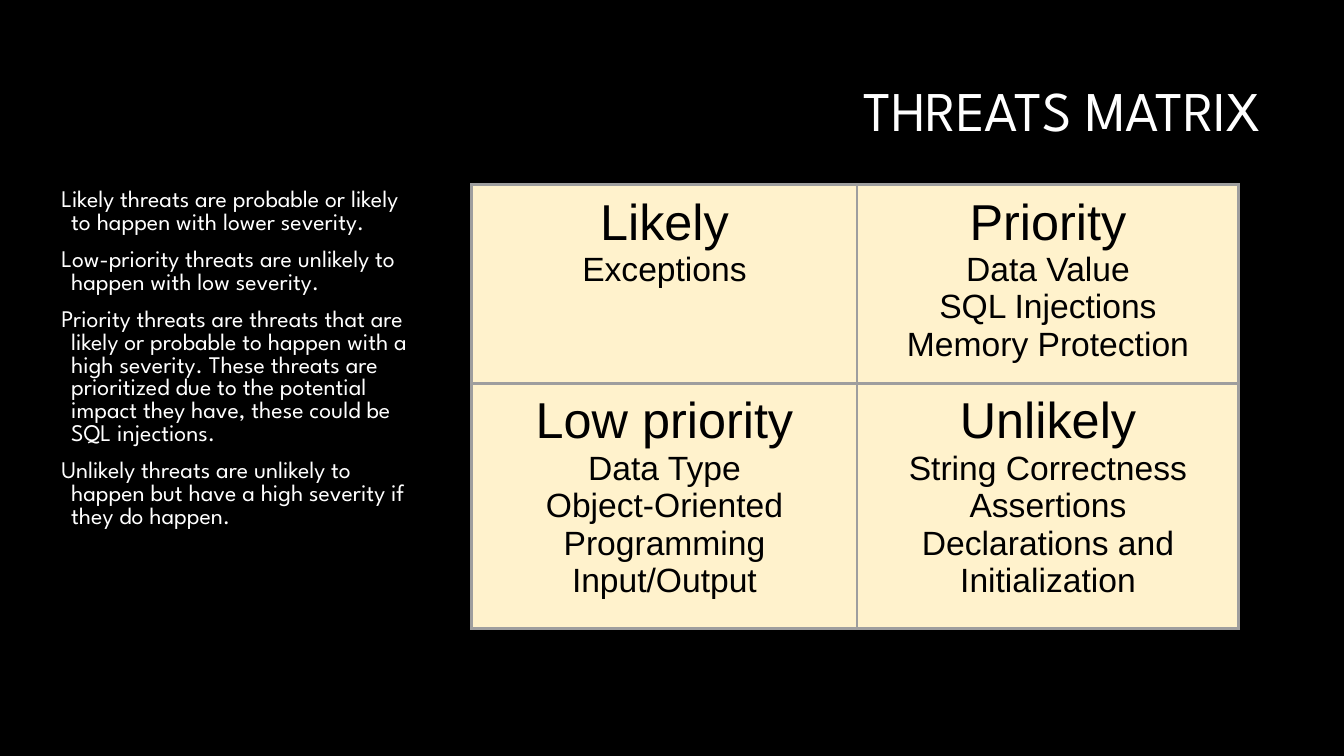
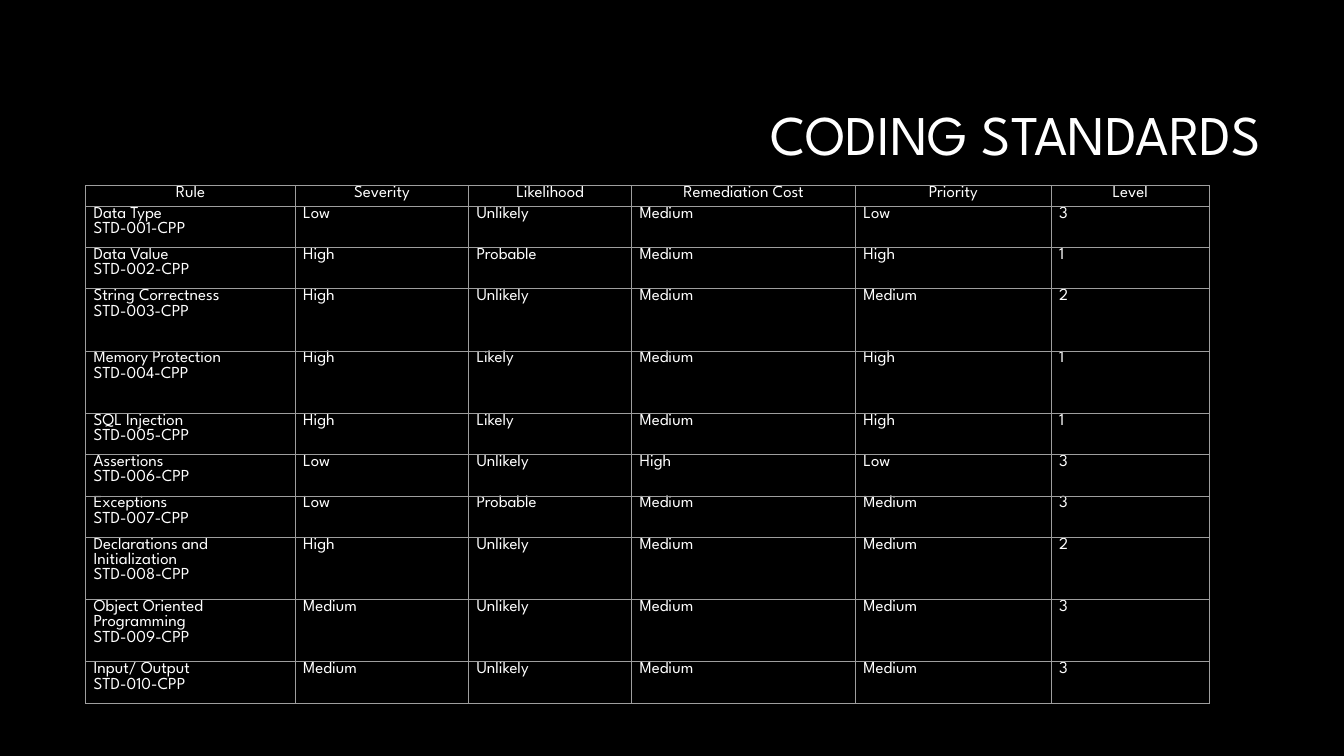
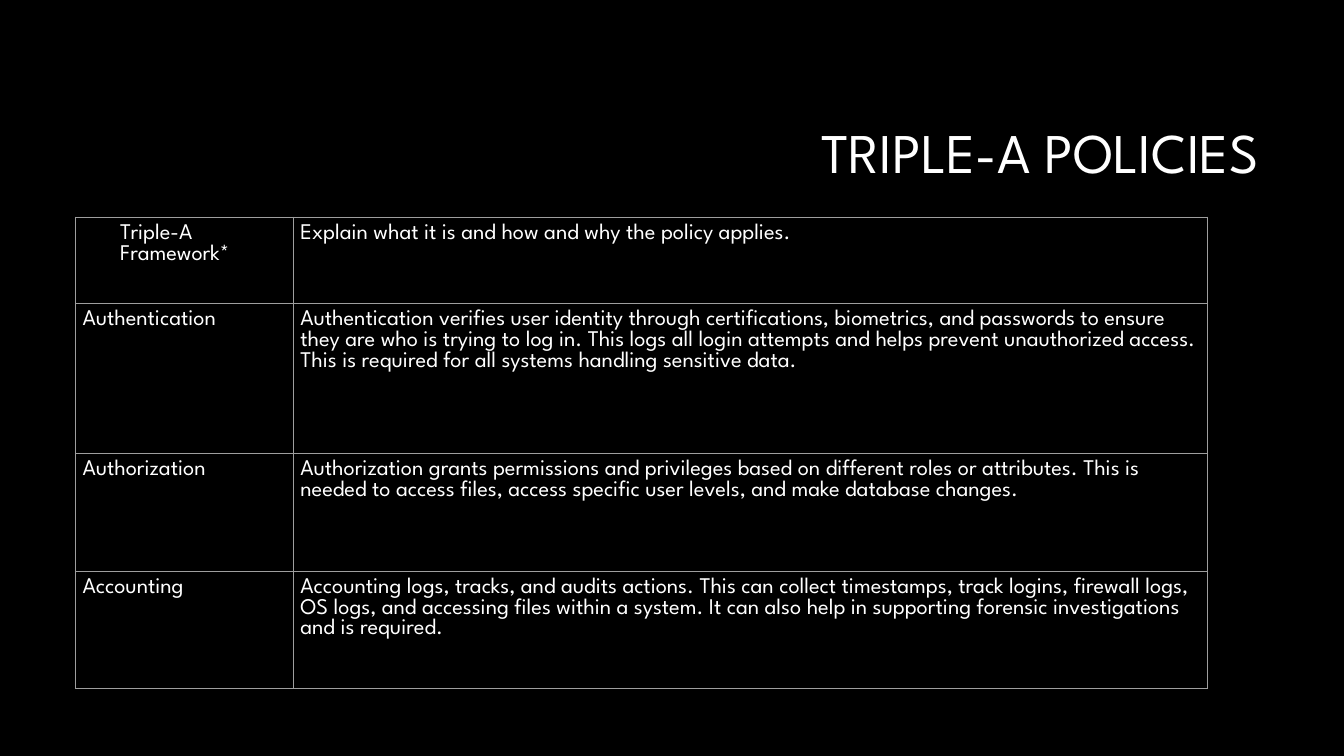
from lxml import etree
from pptx import Presentation
from pptx.dml.color import RGBColor
from pptx.enum.text import MSO_ANCHOR, MSO_AUTO_SIZE, PP_ALIGN
from pptx.oxml.ns import qn
from pptx.util import Cm, Pt

BLACK = RGBColor(0x00, 0x00, 0x00)
WHITE = RGBColor(0xFF, 0xFF, 0xFF)
GREY = RGBColor(0x9E, 0x9E, 0x9E)
CREAM = RGBColor(0xFF, 0xF2, 0xCC)
SPARTAN = "League Spartan"
TITLE_AND_CONTENT, TITLE_ONLY = 1, 5

prs = Presentation()
prs.slide_width, prs.slide_height = Cm(33.87), Cm(19.05)
background = prs.slide_master.background.fill
background.solid()
background.fore_color.rgb = BLACK


def style(paragraph, font, size, color, **layout):
    """Format the runs of a paragraph; layout holds paragraph attributes."""
    for run in paragraph.runs:
        run.font.name, run.font.size = font, Pt(size)
        run.font.color.rgb = color
    for attribute, value in layout.items():
        setattr(paragraph, attribute, value)


def add_grid(slide, left, top, widths, heights, rows, font, size, color,
             inset, border, fill=None):
    """Add a ruled table, lengths in cm; a line break in a text starts a paragraph."""
    table = slide.shapes.add_table(len(heights), len(widths), Cm(left), Cm(top),
                                   Cm(sum(widths)), Cm(sum(heights))).table
    table.first_row = table.horz_banding = False
    for column, width in zip(table.columns, widths):
        column.width = Cm(width)
    for row, height, texts in zip(table.rows, heights, rows):
        row.height = Cm(height)
        for cell, text in zip(row.cells, texts):
            cell.text = text
            cell.margin_left = cell.margin_right = Cm(inset[0])
            cell.margin_top = cell.margin_bottom = Cm(inset[1])
            for paragraph in cell.text_frame.paragraphs:
                style(paragraph, font, size, color)
            properties = cell._tc.get_or_add_tcPr()
            for side in ("a:lnL", "a:lnR", "a:lnT", "a:lnB"):
                line = etree.SubElement(properties, qn(side), w=str(Pt(border)))
                solid = etree.SubElement(line, qn("a:solidFill"))
                etree.SubElement(solid, qn("a:srgbClr"), val=str(GREY))
            if fill is None:
                cell.fill.background()
            else:
                cell.fill.solid()
                cell.fill.fore_color.rgb = fill
    return table


# Slides and their titles
slides = []
for heading, layout, left, top in (
    ("THREATS MATRIX", TITLE_AND_CONTENT, 8.1, 1.07),
    ("CODING STANDARDS", TITLE_ONLY, 8.1, 1.67),
    ("TRIPLE-A POLICIES", TITLE_ONLY, 8.04, 2.13),
):
    slide = prs.slides.add_slide(prs.slide_layouts[layout])
    title = slide.shapes.title
    title.left, title.top, title.width, title.height = Cm(left), Cm(top), Cm(23.93), Cm(3.58)
    title.text_frame.text = heading
    title.text_frame.auto_size = MSO_AUTO_SIZE.NONE
    title.text_frame.vertical_anchor = MSO_ANCHOR.MIDDLE
    style(title.text_frame.paragraphs[0], SPARTAN, 40, WHITE,
          alignment=PP_ALIGN.RIGHT, line_spacing=0.9)
    slides.append(slide)
threats, standards, policies = slides

# Threats matrix
explanation = threats.placeholders[1]
explanation.left, explanation.top = Cm(0.9), Cm(4.65)
explanation.width, explanation.height = Cm(9.7), Cm(11.18)
explanation.text_frame.text = "\n".join((
    "Likely threats are probable or likely to happen with lower severity.",
    "Low-priority threats are unlikely to happen with low severity.",
    "Priority threats are threats that are likely or probable to happen with a high "
    "severity. These threats are prioritized due to the potential impact they have, "
    "these could be SQL injections.",
    "Unlikely threats are unlikely to happen but have a high severity if they do happen.",
))
explanation.text_frame.auto_size = MSO_AUTO_SIZE.NONE
for paragraph in explanation.text_frame.paragraphs:
    style(paragraph, SPARTAN, 17, WHITE, line_spacing=0.8, space_before=Pt(10))
    properties = paragraph._p.get_or_add_pPr()
    properties.set("marL", str(Cm(0.64)))
    properties.set("indent", str(Cm(-0.25)))
    etree.SubElement(properties, qn("a:buNone"))

matrix = add_grid(
    threats, 11.89, 4.65, (9.71, 9.62), (5.01, 6.17),
    (("Likely\nExceptions",
      "Priority\nData Value\nSQL Injections\nMemory Protection"),
     ("Low priority\nData Type\nObject-Oriented Programming\nInput/Output",
      "Unlikely\nString Correctness\nAssertions\nDeclarations and Initialization")),
    "Arial", 24, BLACK, inset=(0.25, 0.25), border=2.25, fill=CREAM)
for cell in matrix.iter_cells():
    for paragraph in cell.text_frame.paragraphs:
        paragraph.alignment = PP_ALIGN.CENTER
    style(cell.text_frame.paragraphs[0], "Arial", 36, BLACK)

# Coding standards
SHORT, TALL = 1.04, 1.57
rules = (
    ("Data Type", "Low", "Unlikely", "Medium", "Low", "3", SHORT),
    ("Data Value", "High", "Probable", "Medium", "High", "1", SHORT),
    ("String Correctness", "High", "Unlikely", "Medium", "Medium", "2", TALL),
    ("Memory Protection", "High", "Likely", "Medium", "High", "1", TALL),
    ("SQL Injection", "High", "Likely", "Medium", "High", "1", SHORT),
    ("Assertions", "Low", "Unlikely", "High", "Low", "3", SHORT),
    ("Exceptions", "Low", "Probable", "Medium", "Medium", "3", SHORT),
    ("Declarations and Initialization", "High", "Unlikely", "Medium", "Medium", "2", TALL),
    ("Object Oriented Programming", "Medium", "Unlikely", "Medium", "Medium", "3", TALL),
    ("Input/ Output", "Medium", "Unlikely", "Medium", "Medium", "3", SHORT),
)
rating_rows = [("Rule", "Severity", "Likelihood", "Remediation Cost", "Priority", "Level")]
rating_heights = [0.52]
for number, (rule, *ratings, height) in enumerate(rules, start=1):
    rating_rows.append((f"{rule}\nSTD-{number:03}-CPP", *ratings))
    rating_heights.append(height)
ratings_table = add_grid(
    standards, 2.16, 4.68, (5.28, 4.37, 4.11, 5.64, 4.93, 3.99), rating_heights,
    rating_rows, SPARTAN, 12, WHITE, inset=(0.2, 0), border=0.75)
for cell in ratings_table.rows[0].cells:
    cell.text_frame.paragraphs[0].alignment = PP_ALIGN.CENTER

# Triple-A policies
framework = add_grid(
    policies, 1.9, 5.47, (5.49, 23.03), (2.17, 3.78, 2.97, 2.97),
    (("Triple-A Framework*", "Explain what it is and how and why the policy applies."),
     ("Authentication",
      "Authentication verifies user identity through certifications, biometrics, and "
      "passwords to ensure they are who is trying to log in. This logs all login attempts "
      "and helps prevent unauthorized access. This is required for all systems handling "
      "sensitive data."),
     ("Authorization",
      "Authorization grants permissions and privileges based on different roles or "
      "attributes. This is needed to access files, access specific user levels, and make "
      "database changes."),
     ("Accounting",
      "Accounting logs, tracks, and audits actions. This can collect timestamps, track "
      "logins, firewall logs, OS logs, and accessing files within a system. It can also "
      "help in supporting forensic investigations and is required.")),
    SPARTAN, 16, WHITE, inset=(0.18, 0.18), border=0.75)
framework_heading = framework.cell(0, 0).text_frame.paragraphs[0]
framework_heading._p.get_or_add_pPr().set("marL", str(Cm(0.95)))

prs.save("out.pptx")
